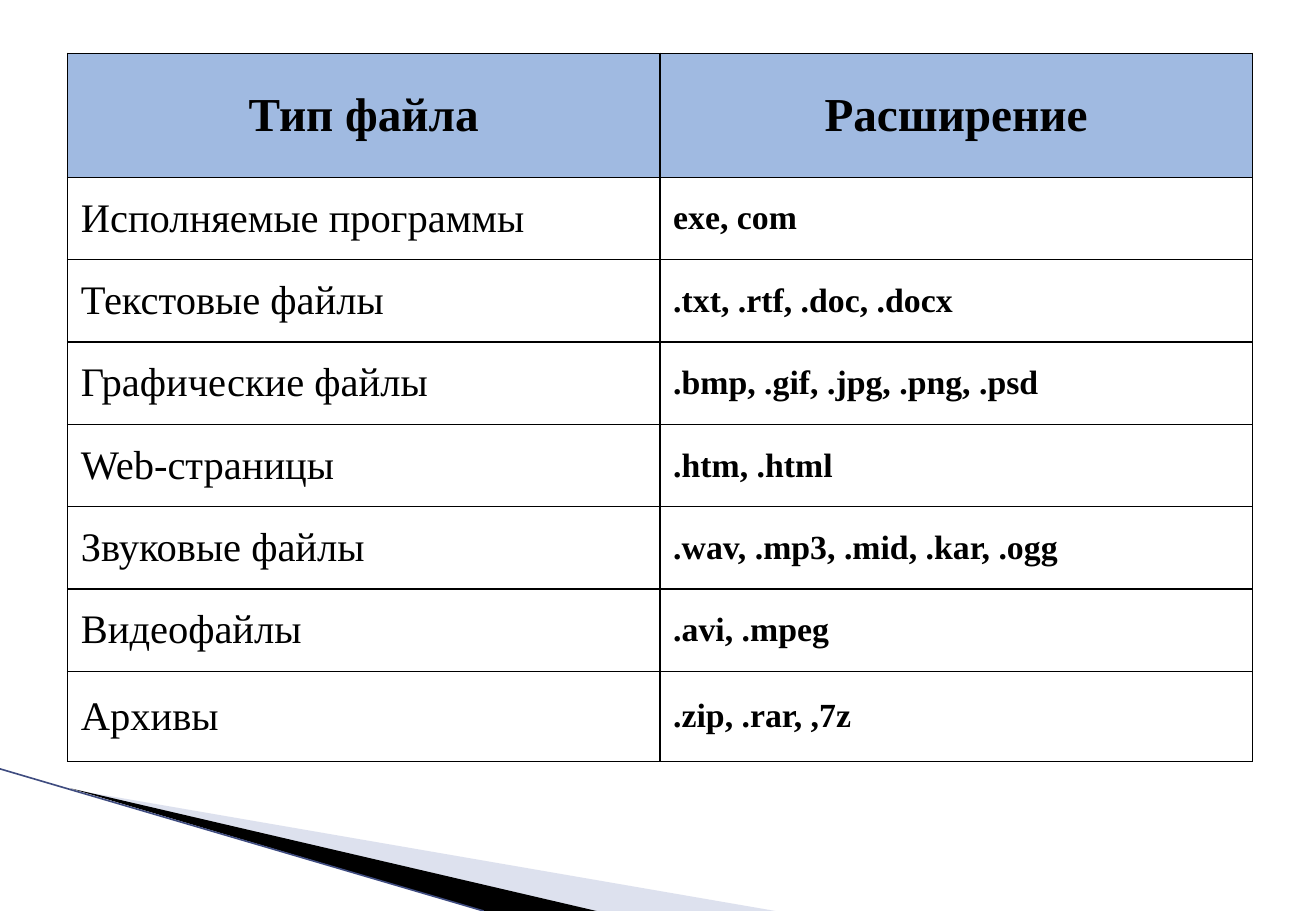
from lxml import etree
from pptx import Presentation, util as u
from pptx.dml.color import RGBColor
from pptx.enum import text
from pptx.oxml import parse_xml
from pptx.oxml.ns import nsdecls, qn

WIDTH, HEIGHT = 10.83, 7.5
COLORS = {"header": "A0BAE1", "body": "FFFFFF", "ink": "000000",
          "pale": "ACB4D5", "edge": "3F4C80"}
FONT = "Times New Roman"
ROWS = [
    ("Тип файла", "Расширение"),
    ("Исполняемые программы", "exe, com"),
    ("Текстовые файлы", ".txt, .rtf, .doc, .docx"),
    ("Графические файлы", ".bmp, .gif, .jpg, .png, .psd"),
    ("Web-страницы", ".htm, .html"),
    ("Звуковые файлы", ".wav, .mp3, .mid, .kar, .ogg"),
    ("Видеофайлы", ".avi, .mpeg"),
    ("Архивы", ".zip, .rar, ,7z"),
]
HEADER_FORMAT = {"size": u.Pt(28), "bold": True}
COLUMN_FORMATS = [{"size": u.Pt(24), "bold": False}, {"size": u.Pt(20), "bold": True}]
CELL_FORMAT = {"vertical_anchor": text.MSO_ANCHOR.MIDDLE,
               "margin_left": u.Inches(0.11), "margin_right": u.Inches(0.11),
               "margin_top": u.Inches(0.05), "margin_bottom": u.Inches(0.05)}


def rgb(name):
    return RGBColor.from_string(COLORS[name])


presentation = Presentation()
presentation.slide_width, presentation.slide_height = u.Inches(WIDTH), u.Inches(HEIGHT)
slide = presentation.slides.add_slide(presentation.slide_layouts[6])

wedges = [
    ("pale", [(0.59, 6.5), (6.38, HEIGHT), (4.9, HEIGHT)]),
    ("ink", [(0.58, 6.49), (4.91, HEIGHT), (3.98, HEIGHT)]),
]
for color, points in wedges:
    corners = [(u.Inches(x), u.Inches(y)) for x, y in points]
    builder = slide.shapes.build_freeform(*corners[0])
    builder.add_line_segments(corners[1:], close=True)
    wedge = builder.convert_to_shape()
    wedge.shadow.inherit = False
    wedge.fill.solid()
    wedge.fill.fore_color.rgb = rgb(color)
    wedge.line.fill.background()
    if color == "pale":
        tint = wedge.fill._xPr.find(qn("a:solidFill"))[0]
        etree.SubElement(tint, qn("a:alpha"), val="40000")

edge = slide.shapes.add_connector(1, 0, u.Inches(6.33), u.Inches(3.98), u.Inches(HEIGHT))
edge.line.color.rgb = rgb("edge")
edge.line.width = u.Pt(0.95)
etree.SubElement(edge._element.spPr, qn("a:effectLst"))

table_height, header_height, last_height = 5.83, 1.02, 0.74
body_height = (table_height - header_height - last_height) / 6
row_heights = [header_height] + [body_height] * 6 + [last_height]
frame = slide.shapes.add_table(len(ROWS), 2, u.Pt(40), u.Inches(0.44),
                               u.Inches(9.75), u.Inches(table_height))
table = frame.table
for column in table.columns:
    column.width = u.Inches(9.75 / 2)

for row_index, labels in enumerate(ROWS):
    table.rows[row_index].height = u.Inches(row_heights[row_index])
    is_header = row_index == 0
    for column_index, label in enumerate(labels):
        cell = table.cell(row_index, column_index)
        for name, value in CELL_FORMAT.items():
            setattr(cell, name, value)
        properties = cell._tc.get_or_add_tcPr()
        for side in "LRTB":
            properties.append(parse_xml(
                f'<a:ln{side} {nsdecls("a")} w="12700"><a:solidFill>'
                f'<a:srgbClr val="{COLORS["ink"]}"/></a:solidFill></a:ln{side}>'))
        cell.fill.solid()
        cell.fill.fore_color.rgb = rgb("header" if is_header else "body")

        paragraph = cell.text_frame.paragraphs[0]
        paragraph.alignment = text.PP_ALIGN.CENTER if is_header else text.PP_ALIGN.JUSTIFY
        indents = paragraph._p.get_or_add_pPr()
        indents.set("marL", str(u.Inches(0.38)))
        indents.set("indent", str(-u.Inches(0.38)))
        run = paragraph.add_run()
        run.text = label
        font_format = HEADER_FORMAT if is_header else COLUMN_FORMATS[column_index]
        for name, value in {"name": FONT, **font_format}.items():
            setattr(run.font, name, value)
        run.font.color.rgb = rgb("ink")

presentation.save("out.pptx")
